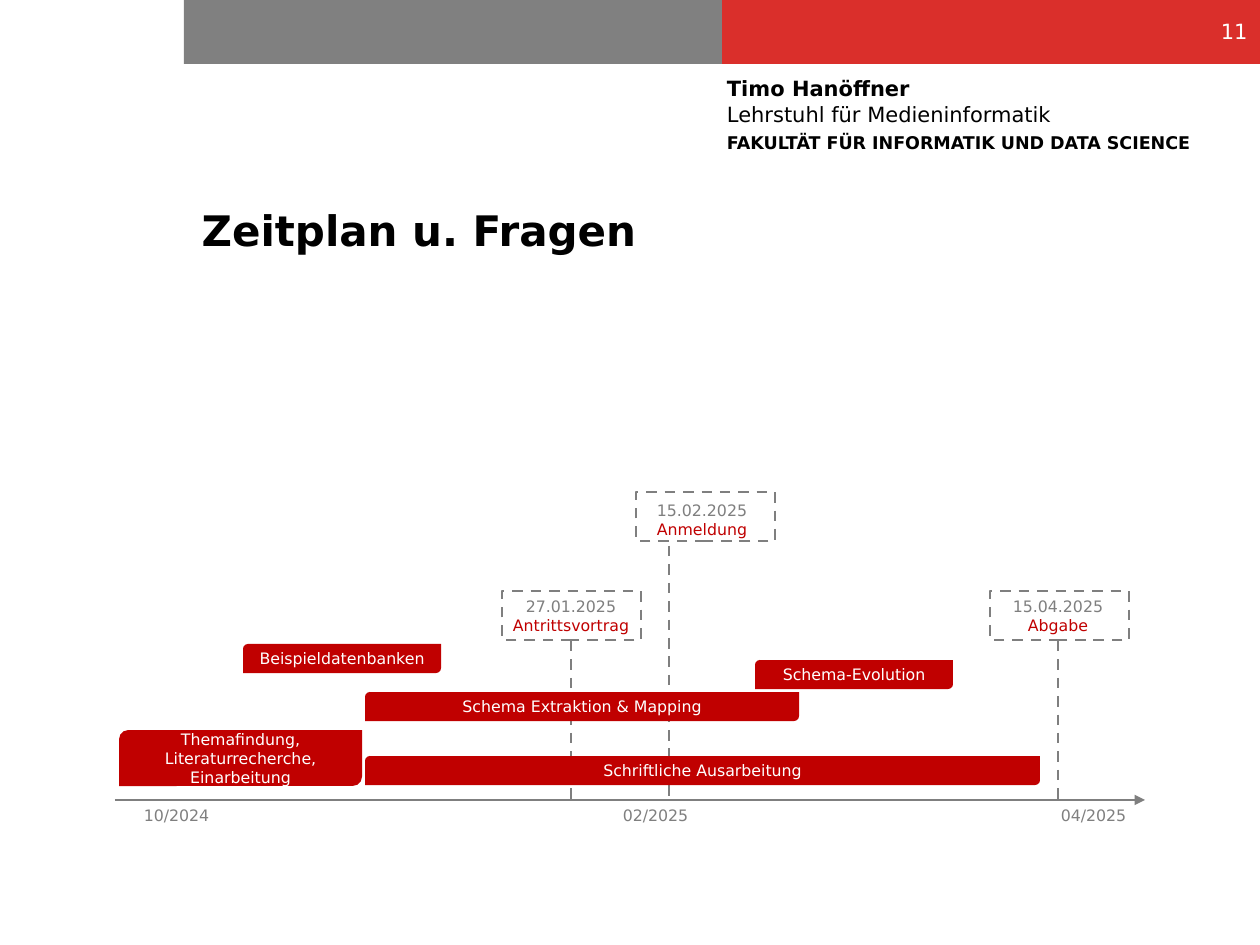
from dataclasses import dataclass
from typing import Optional

from lxml import etree
from pptx import Presentation
from pptx.dml.color import RGBColor
from pptx.enum import dml, shapes, text
from pptx.oxml.ns import qn
from pptx.util import Emu, Pt

PX = 914400 / 126
FONT = "DejaVu Sans"
GREY, RED, WHITE, BLACK = "7F7F7F", "C00000", "FFFFFF", "000000"
AXIS_Y = 800
LEFT, CENTER, RIGHT = text.PP_ALIGN.LEFT, text.PP_ALIGN.CENTER, text.PP_ALIGN.RIGHT


@dataclass
class Bar:
    """A work package on the timeline."""
    label: str
    x: int
    y: int
    w: int
    h: int = 29


@dataclass
class Milestone:
    """A dated event with a framed label and a dashed drop line."""
    date: str
    label: str
    x: int
    y: int
    line_x: int
    line_y: int
    text_x: int
    text_y: int


@dataclass
class Tick:
    """A month label below the axis."""
    label: str
    x: int


BARS = [
    Bar("Themafindung, Literaturrecherche, Einarbeitung", 119, 730, 243, 56),
    Bar("Schema-Evolution", 755, 660, 198),
    Bar("Schriftliche Ausarbeitung", 365, 756, 675),
    Bar("Schema Extraktion & Mapping", 365, 692, 434),
    Bar("Beispieldatenbanken", 243, 644, 198),
]
MILESTONES = [
    Milestone("27.01.2025", "Antrittsvortrag", 502, 591, 571, 641, 494, 591),
    Milestone("15.02.2025", "Anmeldung", 636, 492, 669, 546, 625, 495),
    Milestone("15.04.2025", "Abgabe", 990, 591, 1058, 641, 981, 591),
]
TICKS = [Tick("10/2024", 120), Tick("02/2025", 599), Tick("04/2025", 1037)]


def px(n: int) -> Emu:
    """Turn pixels into EMU."""
    return Emu(round(n * PX))


def rgb(value: str) -> RGBColor:
    """Turn a hex string into a colour."""
    return RGBColor.from_string(value)


def add_run(p, words: str, size: int, color: str, bold: bool = False) -> None:
    """Append one formatted run to a paragraph."""
    r = p.add_run()
    r.text = words
    r.font.name, r.font.size, r.font.bold = FONT, Pt(size), bold
    r.font.color.rgb = rgb(color)


def style_line(line, color: str, dashed: bool) -> None:
    """Give an outline or connector its colour, width and dash."""
    line.color.rgb = rgb(color)
    line.width = Pt(1.5)
    if dashed:
        line.dash_style = dml.MSO_LINE.DASH


def add_box(s, kind, x: int, y: int, w: int, h: int,
            fill: Optional[str] = None, outline: Optional[str] = None):
    """Draw a preset shape with a plain fill or a dashed outline."""
    sp = s.shapes.add_shape(kind, px(x), px(y), px(w), px(h))
    sp.shadow.inherit = False
    if fill:
        sp.fill.solid()
        sp.fill.fore_color.rgb = rgb(fill)
    else:
        sp.fill.background()
    if outline:
        style_line(sp.line, outline, True)
    else:
        sp.line.fill.background()
    return sp


def add_text(s, x: int, y: int, w: int, h: int):
    """Add a wrapping text box and return its text frame."""
    tf = s.shapes.add_textbox(px(x), px(y), px(w), px(h)).text_frame
    tf.word_wrap = True
    return tf


def add_line(s, x1: int, y1: int, x2: int, y2: int,
             dashed: bool = False, arrow: bool = False) -> None:
    """Draw a grey straight connector."""
    c = s.shapes.add_connector(shapes.MSO_CONNECTOR.STRAIGHT,
                               px(x1), px(y1), px(x2), px(y2))
    style_line(c.line, GREY, dashed)
    if arrow:
        etree.SubElement(c.line._get_or_add_ln(), qn("a:tailEnd"), type="triangle")
    etree.SubElement(c._element.spPr, qn("a:effectLst"))


def add_header(s) -> None:
    """Draw the header band, the sender block and the page number."""
    rect = shapes.MSO_SHAPE.RECTANGLE
    add_box(s, rect, 184, 0, 538, 64, "808080")
    add_box(s, rect, 722, 0, 538, 64, "DA2F2B")
    tf = add_text(s, 727, 76, 509, 194 - 76)
    tf.margin_left = tf.margin_top = tf.margin_right = tf.margin_bottom = 0
    p = tf.paragraphs[0]
    add_run(p, "Timo Hanöffner", 12, BLACK, True)
    p.add_line_break()
    add_run(p, "Lehrstuhl für Medieninformatik", 12, BLACK)
    p.space_after = Pt(3)
    add_run(tf.add_paragraph(), "FAKULTÄT FÜR INFORMATIK UND DATA SCIENCE", 10, BLACK, True)
    tf = add_text(s, 976, 6, 284, 50)
    tf.vertical_anchor = text.MSO_ANCHOR.MIDDLE
    tf.paragraphs[0].alignment = RIGHT
    add_run(tf.paragraphs[0], "11", 12, WHITE)


def add_title(s, words: str) -> None:
    """Place and fill the title placeholder."""
    sp = s.shapes.title
    sp.left, sp.top, sp.width, sp.height = px(189), px(204), px(990), px(96)
    tf = sp.text_frame
    tf.auto_size = text.MSO_AUTO_SIZE.NONE
    tf.vertical_anchor = text.MSO_ANCHOR.TOP
    p = tf.paragraphs[0]
    p.alignment, p.line_spacing = LEFT, 0.9
    add_run(p, words, 24, BLACK, True)


def add_milestone(s, m: Milestone) -> None:
    """Draw a milestone with its drop line, frame and label."""
    add_line(s, m.line_x, m.line_y, m.line_x, AXIS_Y, dashed=True)
    add_box(s, shapes.MSO_SHAPE.RECTANGLE, m.x, m.y, 139, 49, outline=GREY)
    tf = add_text(s, m.text_x, m.text_y, 154, 50)
    date, label = tf.paragraphs[0], tf.add_paragraph()
    date.alignment = label.alignment = CENTER
    add_run(date, m.date, 9, GREY)
    add_run(label, m.label, 9, RED)


def add_bar(s, b: Bar) -> None:
    """Draw a work package bar with its centred label."""
    sp = add_box(s, shapes.MSO_SHAPE.ROUND_2_DIAG_RECTANGLE, b.x, b.y, b.w, b.h, RED)
    tf = sp.text_frame
    tf.word_wrap = True
    tf.vertical_anchor = text.MSO_ANCHOR.MIDDLE
    tf.paragraphs[0].alignment = CENTER
    add_run(tf.paragraphs[0], b.label, 9, WHITE)


def add_tick(s, t: Tick) -> None:
    """Write a month below the axis."""
    p = add_text(s, t.x, AXIS_Y, 113, 32).paragraphs[0]
    p.alignment = CENTER
    add_run(p, t.label, 9, GREY)


def main() -> None:
    """Build and save the slide."""
    prs = Presentation()
    prs.slide_width, prs.slide_height = px(1260), px(945)
    s = prs.slides.add_slide(prs.slide_layouts[5])
    add_header(s)
    add_title(s, "Zeitplan u. Fragen")
    add_line(s, 115, AXIS_Y, 1145, AXIS_Y, arrow=True)
    for draw, items in ((add_milestone, MILESTONES), (add_tick, TICKS), (add_bar, BARS)):
        for item in items:
            draw(s, item)
    prs.save("out.pptx")


if __name__ == "__main__":
    main()
